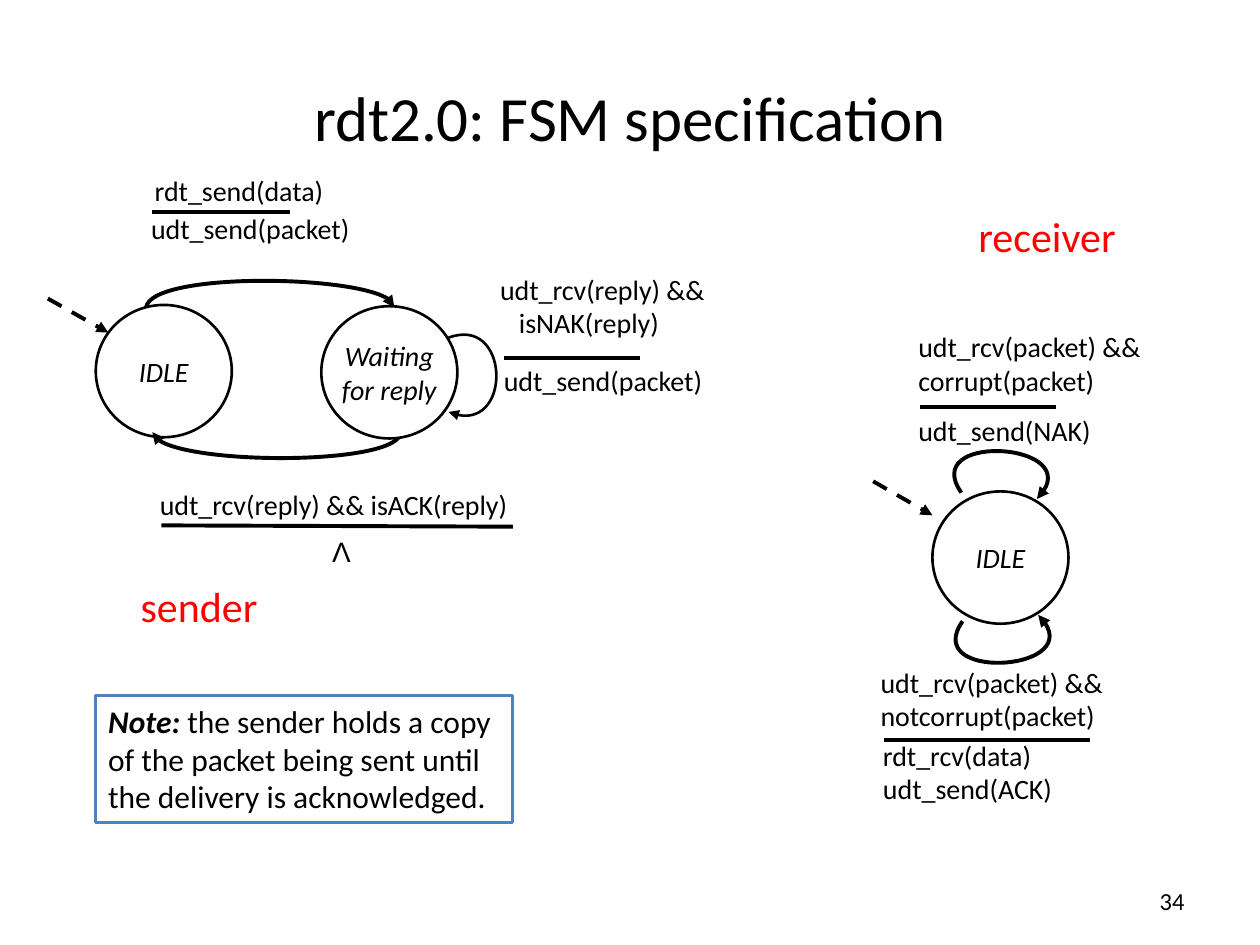
from dataclasses import dataclass

from lxml import etree
from pptx import Presentation
from pptx.dml.color import RGBColor
from pptx.enum.dml import MSO_LINE
from pptx.enum.shapes import MSO_CONNECTOR, MSO_SHAPE
from pptx.enum.text import MSO_ANCHOR, MSO_AUTO_SIZE, PP_ALIGN
from pptx.oxml.ns import qn
from pptx.util import Inches, Pt


@dataclass(frozen=True)
class Theme:
    font: str = "Calibri"
    symbol_font: str = "Arial"
    ink: RGBColor = RGBColor(0, 0, 0)
    paper: RGBColor = RGBColor(255, 255, 255)
    role: RGBColor = RGBColor(255, 0, 0)
    frame: RGBColor = RGBColor(0x4F, 0x81, 0xBD)
    title_size: int = 36
    role_size: int = 24
    note_size: int = 18
    label_size: int = 16
    number_size: int = 14
    thin: float = 1.5
    thick: float = 2.25


THEME = Theme()
WIDTH, HEIGHT = Inches(10), Inches(7.5)
COLUMNS, ROWS = 100, 75
STATE_SIZE = (10.8, 10.5)


# Grid: columns and rows to slide lengths
def grid(*cells):
    units = (WIDTH / COLUMNS, HEIGHT / ROWS)
    return [round(cell * units[i % 2]) for i, cell in enumerate(cells)]


def style(run, **formats):
    font = run.font
    values = {"name": THEME.font, "size": THEME.label_size, **formats}
    font.color.rgb = values.pop("color", THEME.ink)
    values["size"] = Pt(values["size"])
    for name, value in values.items():
        setattr(font, name, value)


def write(frame, lines, align=PP_ALIGN.LEFT, **formats):
    for i, line in enumerate(lines):
        paragraph = frame.paragraphs[0] if i == 0 else frame.add_paragraph()
        paragraph.alignment = align
        run = paragraph.add_run()
        run.text = line
        style(run, **formats)


def add_label(slide, area, *lines, anchor=MSO_ANCHOR.TOP, wrap=True, **formats):
    frame = slide.shapes.add_textbox(*grid(*area)).text_frame
    frame.word_wrap = wrap
    frame.vertical_anchor = anchor
    write(frame, lines, **formats)
    return frame


def set_outline(line, width, color=THEME.ink):
    line.color.rgb = color
    line.width = Pt(width)


def add_arrowhead(line):
    outline = line._get_or_add_ln()
    etree.SubElement(outline, qn("a:tailEnd"), type="triangle")


def add_rule(slide, start, end, entry=False):
    rule = slide.shapes.add_connector(MSO_CONNECTOR.STRAIGHT, *grid(*start, *end))
    set_outline(rule.line, THEME.thick)
    if entry:
        rule.line.dash_style = MSO_LINE.DASH
        add_arrowhead(rule.line)
    etree.SubElement(rule._element.spPr, qn("a:effectLst"))


def add_transition(slide, start, *curve, width=THEME.thick):
    """Draw a Bezier arrow through two control points to its end."""
    builder = slide.shapes.build_freeform(*grid(*start))
    builder.add_line_segments([grid(*point) for point in curve], close=False)
    arc = builder.convert_to_shape()
    arc.shadow.inherit = False
    arc.fill.background()
    set_outline(arc.line, width)
    add_arrowhead(arc.line)
    segments = list(arc._element.iter(qn("a:lnTo")))
    bezier = etree.SubElement(segments[0].getparent(), qn("a:cubicBezTo"))
    for segment in segments:
        bezier.append(segment[0])
        segment.getparent().remove(segment)


def add_state(slide, corner, *name):
    state = slide.shapes.add_shape(MSO_SHAPE.OVAL, *grid(*corner, *STATE_SIZE))
    state.shadow.inherit = False
    state.fill.solid()
    state.fill.fore_color.rgb = THEME.paper
    set_outline(state.line, THEME.thin)
    state.text_frame.word_wrap = False
    state.text_frame.vertical_anchor = MSO_ANCHOR.MIDDLE
    write(state.text_frame, name, PP_ALIGN.CENTER, italic=True)


def add_role(slide, area, name):
    add_label(slide, area, name, wrap=False, align=PP_ALIGN.CENTER,
              size=THEME.role_size, color=THEME.role)


def add_title(slide, text):
    title = slide.shapes.title
    title.left, title.top, title.width, title.height = grid(5, 3, 90, 12.5)
    title.text_frame.auto_size = MSO_AUTO_SIZE.NONE
    title.text_frame.vertical_anchor = MSO_ANCHOR.MIDDLE
    write(title.text_frame, [text], PP_ALIGN.CENTER, size=THEME.title_size)


def add_note(slide, lead, text):
    note = slide.shapes.add_shape(MSO_SHAPE.RECTANGLE, *grid(7.6, 55.2, 33.1, 10.1))
    note.shadow.inherit = False
    note.fill.background()
    set_outline(note.line, THEME.thin, THEME.frame)
    note.text_frame.word_wrap = True
    note.text_frame.vertical_anchor = MSO_ANCHOR.TOP
    write(note.text_frame, [lead], size=THEME.note_size, bold=True, italic=True)
    body = note.text_frame.paragraphs[0].add_run()
    body.text = text
    style(body, size=THEME.note_size)


def add_sender(slide):
    # States and transitions, back to front
    add_state(slide, (7.6, 24.2), "IDLE")
    add_transition(slide, (11.6, 24.4), (12, 21.6), (31.3, 21.8), (31.3, 24.4))
    add_transition(slide, (31.8, 34.3), (31.8, 36.9), (12.5, 37), (12.1, 34.3))
    add_transition(slide, (35.6, 26.8), (40.4, 25), (40.7, 34.8), (35.6, 32.7),
                   width=THEME.thin)
    add_state(slide, (25.5, 24.3), "Waiting", "for reply")
    add_rule(slide, (3.8, 23.7), (8.6, 26.4), entry=True)

    # Data to send
    add_label(slide, (11.3, 13.3, 24.7, 4.7), "rdt_send(data)")
    add_rule(slide, (12.1, 16.8), (23, 16.8))
    add_label(slide, (11, 16.3, 39.8, 4.4), "udt_send(packet)")

    # Negative reply
    event = add_label(slide, (38.7, 21.1, 25.9, 6.9),
                      "udt_rcv(reply) &&", "isNAK(reply)")
    event.paragraphs[1]._p.get_or_add_pPr().set("marL", str(Inches(0.15)))
    add_rule(slide, (40, 28.4), (50.8, 28.4))
    add_label(slide, (39, 28.4, 19.3, 4.4), "udt_send(packet)")

    # Positive reply
    add_label(slide, (11.7, 38.2, 41.5, 3.1), "udt_rcv(reply) && isACK(reply)")
    add_rule(slide, (12.8, 41.7), (40.7, 41.8))
    add_label(slide, (25.3, 41.9, 3.6, 3.7), "Λ", wrap=False,
              align=PP_ALIGN.CENTER, name=THEME.symbol_font)
    add_role(slide, (10.1, 45.6, 11.4, 5), "sender")


def add_receiver(slide):
    # State and transitions, back to front
    add_rule(slide, (69.3, 38.2), (74, 40.9), entry=True)
    add_transition(slide, (76.3, 39.1), (73, 34.4), (86.7, 35.1), (82.3, 39.6))
    add_state(slide, (74, 39), "IDLE")
    add_transition(slide, (76.4, 49.3), (73.1, 54), (86.9, 53.3), (82.4, 48.8))

    # Corrupt packet
    add_label(slide, (71.9, 25.7, 21, 3.4), "udt_rcv(packet) && corrupt(packet)")
    add_rule(slide, (73, 32.3), (83.8, 32.3))
    add_label(slide, (71.9, 32.3, 20, 2.8), "udt_send(NAK)")

    # Intact packet
    add_label(slide, (68.9, 52.3, 23.6, 7.7), "udt_rcv(packet) && notcorrupt(packet)")
    add_rule(slide, (70.2, 58.7), (86.5, 58.7))
    add_label(slide, (69.1, 58.1, 23.4, 6.8), "rdt_rcv(data)", "udt_send(ACK)")
    add_role(slide, (76.6, 16.2, 13, 5), "receiver")


def main():
    deck = Presentation()
    deck.slide_width, deck.slide_height = WIDTH, HEIGHT
    slide = deck.slides.add_slide(deck.slide_layouts[5])
    add_title(slide, "rdt2.0: FSM specification")
    add_sender(slide)
    add_receiver(slide)
    add_note(slide, "Note: ", "the sender holds a copy of the packet being sent "
             "until the delivery is acknowledged.")
    add_label(slide, (71.7, 69.5, 23.3, 4), "34", anchor=MSO_ANCHOR.MIDDLE,
              align=PP_ALIGN.RIGHT, size=THEME.number_size)
    deck.save("out.pptx")


if __name__ == "__main__":
    main()
